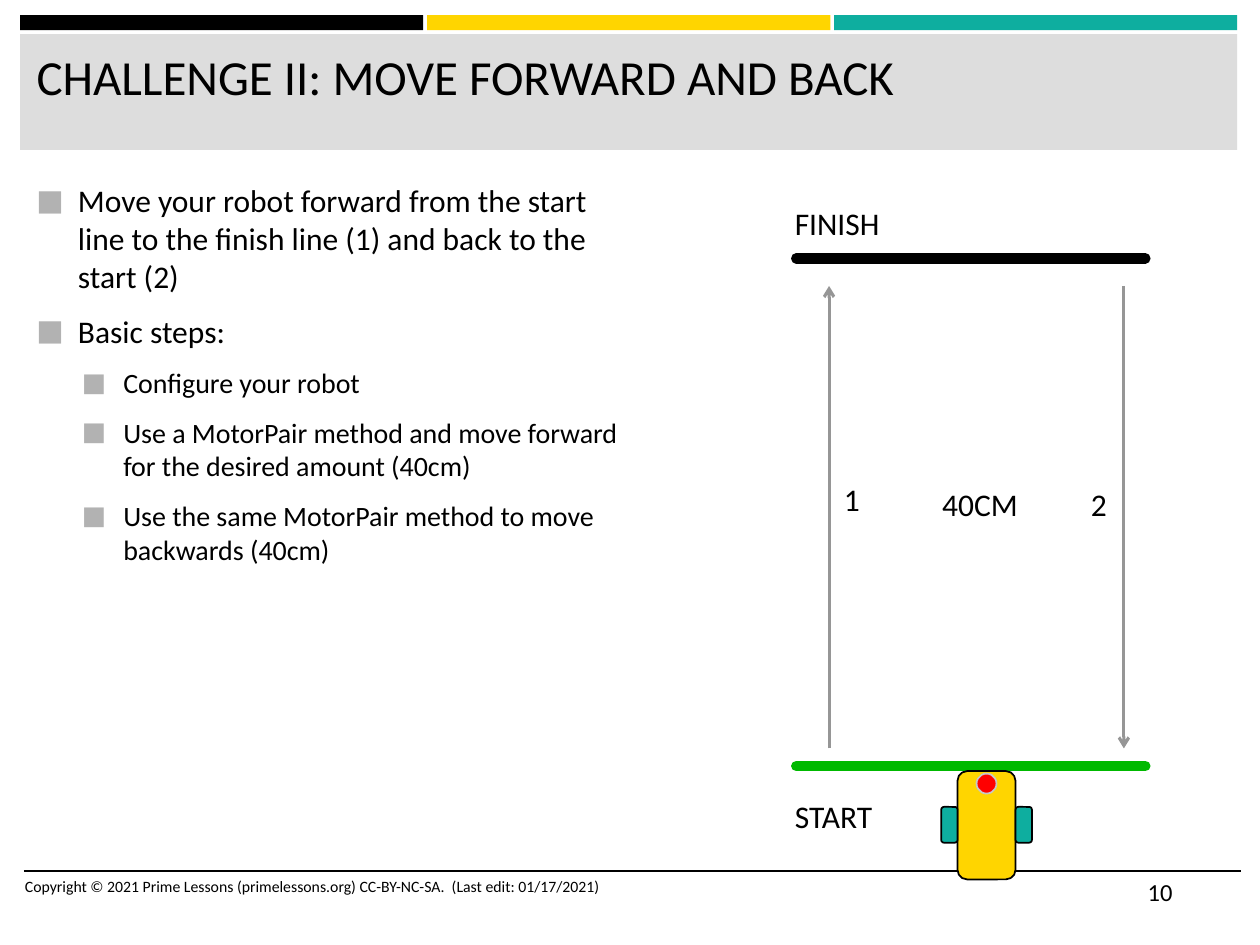
from pptx import Presentation, util as u
from pptx.dml.color import RGBColor
from pptx.enum import shapes as sh, text as tx
from pptx.oxml.ns import qn
from lxml import etree

BLACK = RGBColor(0x00, 0x00, 0x00)
YELLOW = RGBColor(0xFF, 0xD5, 0x00)
TEAL = RGBColor(0x0E, 0xAE, 0x9F)
BAND = RGBColor(0xDD, 0xDD, 0xDD)
GREEN = RGBColor(0x00, 0xB9, 0x00)
GRAY = RGBColor(0x96, 0x96, 0x96)
RED = RGBColor(0xFF, 0x00, 0x00)
RIM = RGBColor(0xC7, 0xC7, 0xC7)
BULLET = "B2B2B2"
FONT = "Calibri"

# The slide is a grid of 100 columns by 75 square cells
WIDE, HIGH = u.Inches(10), u.Inches(7.5)
CELL = WIDE / 100

STEPS = [
    (0, "Move your robot forward from the start line to the finish line (1) "
        "and back to the start (2)"),
    (0, "Basic steps:"),
    (1, "Configure your robot"),
    (1, "Use a MotorPair method and move forward for the desired amount (40cm)"),
    (1, "Use the same MotorPair method to move backwards (40cm)"),
]


def cells(*nums):
    return [round(n * CELL) for n in nums]


def bullet(para, left, hang):
    props = para._p.get_or_add_pPr()
    props.set("marL", str(u.Inches(left)))
    props.set("indent", str(-u.Inches(hang)))
    color = etree.SubElement(props, qn("a:buClr"))
    etree.SubElement(color, qn("a:srgbClr"), val=BULLET)
    etree.SubElement(props, qn("a:buSzPct"), val="92000")
    etree.SubElement(props, qn("a:buFont"), typeface=FONT)
    etree.SubElement(props, qn("a:buChar"), char="■")


def style(para, words, size=18, color=BLACK):
    para.text = words
    para.font.size = u.Pt(size)
    para.font.name = FONT
    para.font.color.rgb = color


def label(slide, words, box, wrap=True, **form):
    frame = slide.shapes.add_textbox(*cells(*box)).text_frame
    frame.word_wrap = wrap
    style(frame.paragraphs[0], words, **form)


def block(slide, kind, box, fill, line=None):
    shape = slide.shapes.add_shape(kind, *cells(*box))
    shape.shadow.inherit = False
    shape.fill.solid()
    shape.fill.fore_color.rgb = fill
    if line is None:
        shape.line.fill.background()
    else:
        shape.line.color.rgb = line
        shape.line.width = u.Pt(1)


def rule(slide, ends, color, width, cap="flat", arrow=False):
    line = slide.shapes.add_connector(sh.MSO_CONNECTOR.STRAIGHT, *cells(*ends))
    line.line.color.rgb = color
    line.line.width = u.Pt(width)
    stroke = line.line._get_or_add_ln()
    stroke.set("cap", cap)
    if arrow:
        etree.SubElement(stroke, qn("a:tailEnd"), type="arrow")
    etree.SubElement(line._element.spPr, qn("a:effectLst"))


def header(slide, box, words):
    x, y, w, h = box
    # Three equal stripes above the title band
    gap = 0.3
    wide = (w - 2 * gap) / 3
    for i, fill in enumerate((BLACK, YELLOW, TEAL)):
        block(slide, sh.MSO_SHAPE.RECTANGLE,
              (x + i * (wide + gap), y, wide, 1.2), fill)
    block(slide, sh.MSO_SHAPE.RECTANGLE, (x, y + 1.5, w, h - 1.5), BAND)
    # Title, brought in front of its band
    title = slide.shapes.title
    title.left, title.top, title.width, title.height = cells(
        x + 0.3, y + 2, w - 0.9, h - 2.5)
    frame = title.text_frame
    frame.vertical_anchor = tx.MSO_ANCHOR.TOP
    frame.auto_size = tx.MSO_AUTO_SIZE.NONE
    style(frame.paragraphs[0], words, size=28)
    frame.paragraphs[0].alignment = tx.PP_ALIGN.LEFT
    slide.shapes._spTree.append(title._element)


def steps(slide, box, items):
    frame = slide.shapes.add_textbox(*cells(*box)).text_frame
    frame.word_wrap = True
    for i, (level, words) in enumerate(items):
        para = frame.paragraphs[0] if i == 0 else frame.add_paragraph()
        size = 18 - 2 * level
        para.level = level
        para.space_before = u.Pt(size * 0.2 if i else 0)
        para.space_after = u.Pt(6)
        bullet(para, 0.33 + 0.36 * level, 0.33)
        style(para, words, size=size)


def robot(slide, box):
    x, y, w, h = box
    wheel, tall = 0.18 * w, 0.33 * h
    body = w - 2 * wheel
    dot = 0.22 * w
    kind = sh.MSO_SHAPE.ROUNDED_RECTANGLE
    block(slide, kind, (x + wheel, y, body, h), YELLOW, BLACK)
    for left in (x, x + w - wheel):
        block(slide, kind, (left, y + tall, wheel, tall), TEAL, BLACK)
    block(slide, sh.MSO_SHAPE.OVAL,
          (x + (w - dot) / 2, y + 0.2, dot, dot), RED, RIM)


def course(slide, box):
    x, y, w, h = box
    end, base = x + w, y + h
    # Finish and start lines
    for level, color in ((y, BLACK), (base, GREEN)):
        rule(slide, (end, level, x, level), color, 6, cap="rnd")
    # Way there and way back
    near, far = y + 2.2, base - 1.4
    up, down = x + 2.6, end - 1.7
    rule(slide, (up, far, up, near), GRAY, 1.75, arrow=True)
    rule(slide, (down, near, down, far), GRAY, 1.75, arrow=True)
    # Labels
    mid = y + 17.5
    label(slide, "1", (up + 0.2, mid - 0.4, 3.4, 4))
    label(slide, "2", (down - 3.6, mid, 3.4, 4))
    label(slide, "40CM", (x + 10.6, mid, 9, 4))
    label(slide, "FINISH", (x - 1.1, y - 4.8, 10.3, 4), wrap=False)
    label(slide, "START", (x - 1.1, base + 2, 10, 4), wrap=False)
    robot(slide, (x + 11.5, base + 0.4, 7.2, 8.6))


def footer(slide, box, words, page):
    x, y, w, h = box
    rule(slide, (x, y, x + w, y), BLACK, 1)
    label(slide, words, (x - 0.9, y, 53.3, h), size=9)
    label(slide, page, (x + w - 8.4, y, 8.4, h), size=14)


def main():
    deck = Presentation()
    deck.slide_width, deck.slide_height = WIDE, HIGH
    slide = deck.slides.add_slide(deck.slide_layouts.get_by_name("Title Only"))
    header(slide, (1.6, 1.2, 96.6, 10.7), "CHALLENGE II: MOVE FORWARD AND BACK")
    footer(slide, (1.9, 69.1, 96.6, 4),
           "Copyright © 2021 Prime Lessons (primelessons.org) CC-BY-NC-SA.  "
           "(Last edit: 01/17/2021)", "10")
    steps(slide, (1.9, 13.9, 49.8, 47.8), STEPS)
    course(slide, (63.2, 20.5, 27.7, 40.3))
    deck.save("out.pptx")


if __name__ == "__main__":
    main()
